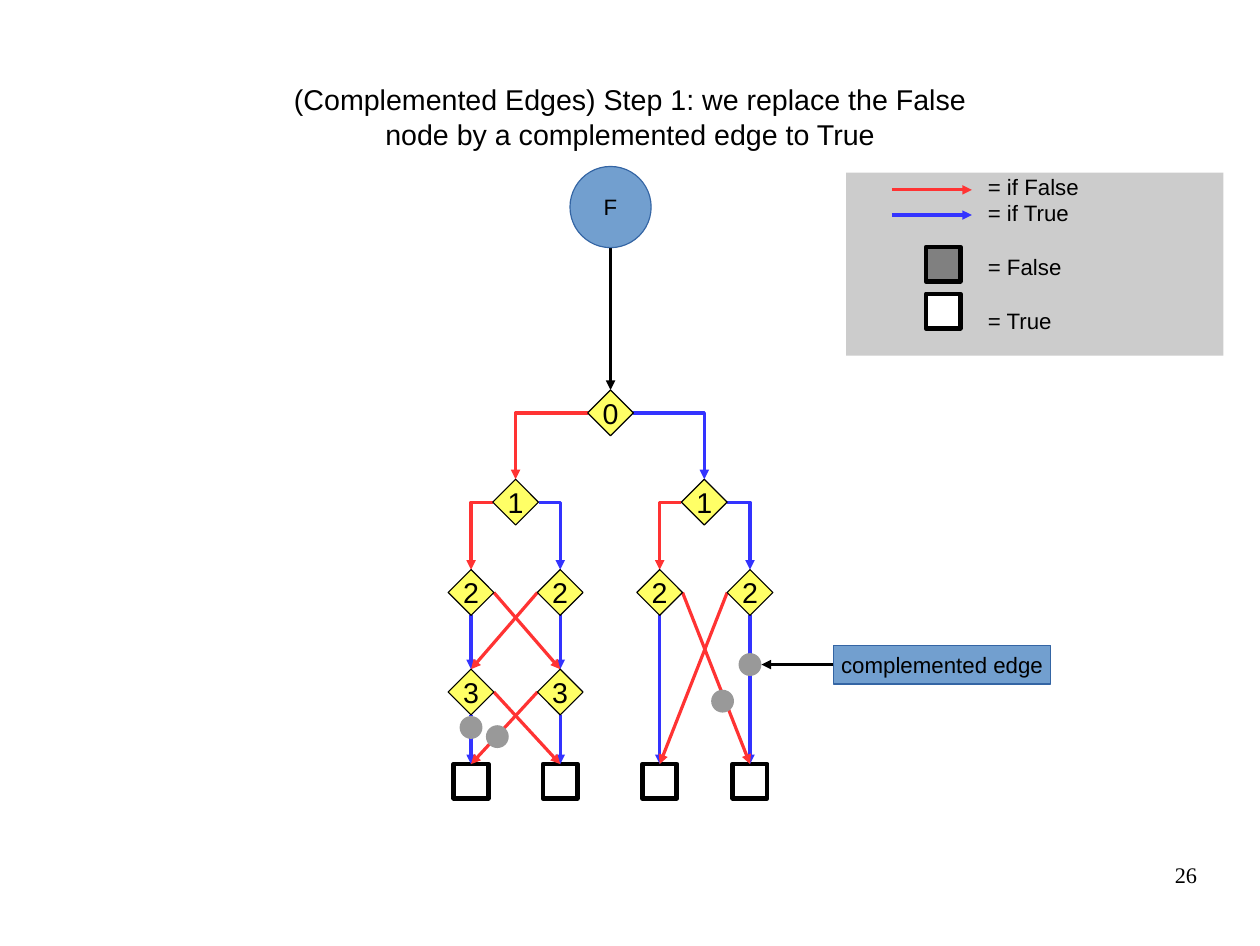
from lxml import etree
from pptx import Presentation
from pptx.dml.color import RGBColor
from pptx.enum.shapes import MSO_CONNECTOR, MSO_SHAPE
from pptx.enum.text import MSO_ANCHOR, PP_ALIGN
from pptx.oxml.ns import qn
from pptx.util import Inches, Pt

RECT, DIAMOND, OVAL = MSO_SHAPE.RECTANGLE, MSO_SHAPE.DIAMOND, MSO_SHAPE.OVAL
STRAIGHT, ELBOW = MSO_CONNECTOR.STRAIGHT, MSO_CONNECTOR.ELBOW
LEFT, CENTER, RIGHT = PP_ALIGN.LEFT, PP_ALIGN.CENTER, PP_ALIGN.RIGHT
TOP, MIDDLE = MSO_ANCHOR.TOP, MSO_ANCHOR.MIDDLE

BLACK = RGBColor(0x00, 0x00, 0x00)
WHITE = RGBColor(0xFF, 0xFF, 0xFF)
RED = RGBColor(0xFF, 0x33, 0x33)
BLUE = RGBColor(0x33, 0x33, 0xFF)
YELLOW = RGBColor(0xFF, 0xFF, 0x66)
STEEL = RGBColor(0x72, 0x9F, 0xCF)
STEEL_EDGE = RGBColor(0x34, 0x65, 0xA4)
DOT_GRAY = RGBColor(0x99, 0x99, 0x99)
FALSE_GRAY = RGBColor(0x80, 0x80, 0x80)
PANEL_GRAY = RGBColor(0xCC, 0xCC, 0xCC)

prs = Presentation()
prs.slide_width, prs.slide_height = Inches(11.02), Inches(8.27)
slide = prs.slides.add_slide(prs.slide_layouts[6])


def add_centred(kind, x, y, w, h, fill, edge=None, edge_pt=0, label="", size=14):
    """Add a shape whose middle is at (x, y), with an optional label."""
    shape = slide.shapes.add_shape(
        kind, Inches(x - w / 2), Inches(y - h / 2), Inches(w), Inches(h))
    shape.shadow.inherit = False
    shape.fill.solid()
    shape.fill.fore_color.rgb = fill
    if edge is None:
        shape.line.fill.background()
    else:
        shape.line.color.rgb = edge
        shape.line.width = Pt(edge_pt)
    if label:
        frame = shape.text_frame
        frame.text = label
        frame.word_wrap = False
        frame.vertical_anchor = MIDDLE
        frame.paragraphs[0].alignment = CENTER
        font = frame.paragraphs[0].runs[0].font
        font.name, font.size, font.color.rgb = "Arial", Pt(size), BLACK


def add_arrow(start, end, color, kind=STRAIGHT):
    arrow = slide.shapes.add_connector(kind, *(Inches(v) for v in (*start, *end)))
    arrow.line.color.rgb = color
    arrow.line.width = Pt(0)
    properties = arrow._element.spPr
    if kind == ELBOW:  # a single corner: sideways, then down
        properties.find(qn("a:prstGeom")).set("prst", "bentConnector2")
    etree.SubElement(properties.find(qn("a:ln")), qn("a:tailEnd"), type="triangle")
    etree.SubElement(properties, qn("a:effectLst"))


# Decision diagram
HALF = 0.2  # half a diamond
LEAF_SIZE = 0.3
COLUMNS = [4.12, 4.9, 5.77, 6.56]
ROOT_X, PARENTS = 5.34, [4.51, 6.16]
LEVELS = [3.61, 4.39, 5.18, 6.05]
LEAF_Y, LEAF_TOP = 6.83, 6.68

for x in COLUMNS:
    add_centred(RECT, x, LEAF_Y, LEAF_SIZE, LEAF_SIZE, WHITE, BLACK, 3)

# Upper levels branch outwards: False to the left, True to the right
branches = [(ROOT_X, 0, PARENTS), (PARENTS[0], 1, COLUMNS[:2]), (PARENTS[1], 1, COLUMNS[2:])]
for x, level, children in branches:
    for side, child, color in zip((-1, 1), children, (RED, BLUE)):
        add_arrow((x + side * HALF, LEVELS[level]),
                  (child, LEVELS[level + 1] - HALF), color, ELBOW)

# Lower levels: True goes straight down, False crosses to the other column
crossings = [(COLUMNS[:2], LEVELS[2], LEVELS[3] - HALF),
             (COLUMNS[:2], LEVELS[3], LEAF_TOP),
             (COLUMNS[2:], LEVELS[2], LEAF_TOP)]
for (left, right), y, target in crossings:
    for x in (left, right):
        add_arrow((x, y + HALF), (x, target), BLUE)
    add_arrow((left + HALF, y), (right, target), RED)
    add_arrow((right - HALF, y), (left, target), RED)

add_arrow((ROOT_X, 2.17), (ROOT_X, LEVELS[0] - HALF), BLACK)
add_centred(OVAL, ROOT_X, 1.81, 0.71, 0.71, STEEL, STEEL_EDGE, label="F")

for level, xs in enumerate([[ROOT_X], PARENTS, COLUMNS, COLUMNS[:2]]):
    for x in xs:
        add_centred(DIAMOND, x, LEVELS[level], 2 * HALF, 2 * HALF, YELLOW, BLACK,
                    label=str(level), size=18)

# Complemented edges
for x, y in [(6.56, 5.81), (6.32, 6.13), (4.12, 6.36), (4.35, 6.44)]:
    add_centred(OVAL, x, y, 0.2, 0.2, DOT_GRAY)
add_centred(RECT, 8.24, 5.81, 1.9, 0.34, STEEL, STEEL_EDGE, label="complemented edge")
add_arrow((7.29, 5.81), (6.66, 5.81), BLACK)

# Legend
add_centred(RECT, 9.05, 2.31, 3.3, 1.6, PANEL_GRAY)
for y, color in [(1.66, RED), (1.88, BLUE)]:
    add_arrow((7.8, y), (8.5, y), color)
for y, fill in [(2.31, FALSE_GRAY), (2.72, WHITE)]:
    add_centred(RECT, 8.25, y, LEAF_SIZE, LEAF_SIZE, fill, BLACK, 3)

# Title, legend entries and page number
captions = [
    ("(Complemented Edges) Step 1: we replace the False\vnode by a complemented edge to True",
     0.55, 0.33, 9.92, 1.38, 18, "Arial", CENTER, MIDDLE),
    ("26", 7.9, 7.53, 2.57, 0.57, 14, "Times New Roman", RIGHT, TOP),
]
for entry, y in [("= if False", 1.63), ("= if True", 1.86), ("= False", 2.33), ("= True", 2.8)]:
    captions.append((entry, 8.64, y - 0.12, 1.5, 0.24, 14, "Arial", LEFT, MIDDLE))

for text, x, y, w, h, size, face, alignment, anchor in captions:
    frame = slide.shapes.add_textbox(Inches(x), Inches(y), Inches(w), Inches(h)).text_frame
    frame.word_wrap = True
    frame.margin_left = frame.margin_right = frame.margin_top = frame.margin_bottom = 0
    frame.vertical_anchor = anchor
    frame.text = text
    frame.paragraphs[0].alignment = alignment
    for run in frame.paragraphs[0].runs:
        run.font.name, run.font.size, run.font.color.rgb = face, Pt(size), BLACK

prs.save("out.pptx")
